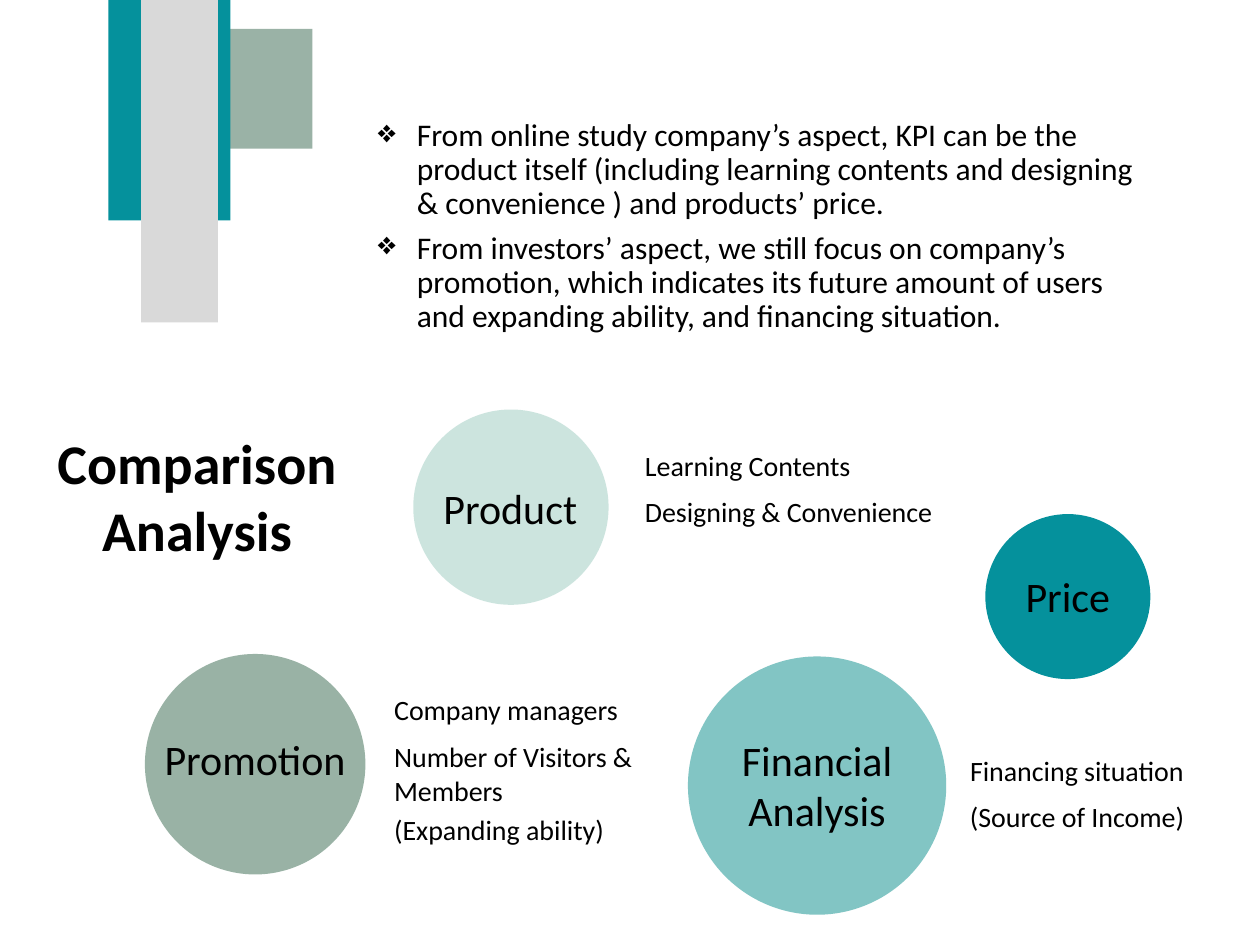
from dataclasses import dataclass

from lxml.etree import SubElement
from pptx import Presentation
from pptx.dml.color import RGBColor
from pptx.enum.shapes import MSO_SHAPE
from pptx.enum.text import MSO_ANCHOR, MSO_AUTO_SIZE, PP_ALIGN
from pptx.oxml.ns import qn
from pptx.util import Pt

PX = 9144  # EMU per px, 100 px to the inch


@dataclass(frozen=True)
class Theme:
    font: str = "Calibri"
    ink: str = "000000"
    teal: str = "05919C"
    grey: str = "D9D9D9"
    sage: str = "9AB2A6"
    moss: str = "8FAA9C"
    aqua: str = "75BFBE"
    mint: str = "9BCBBF"
    title: int = 32
    label: int = 24
    body: int = 18
    caption: int = 16


THEME = Theme()


def emu(*lengths):
    return [length * PX for length in lengths]


def add_block(page, kind, box, color, opacity=100):
    shape = page.shapes.add_shape(kind, *emu(*box))
    shape.shadow.inherit = False
    shape.line.fill.background()
    shape.fill.solid()
    shape.fill.fore_color.rgb = RGBColor.from_string(color)
    if opacity < 100:
        fill_color = shape.fill._xPr.find(qn("a:solidFill"))[0]
        SubElement(fill_color, qn("a:alpha"), val=str(opacity * 1000))


def write(para, text, size, align=PP_ALIGN.LEFT, bold=False):
    para.alignment = align
    span = para.add_run()
    span.text = text
    span.font.name = THEME.font
    span.font.size = Pt(size)
    span.font.bold = bold
    span.font.color.rgb = RGBColor.from_string(THEME.ink)


def add_text_frame(page, box):
    frame = page.shapes.add_textbox(*emu(*box)).text_frame
    frame.word_wrap = True
    return frame


def add_bullet(para):
    properties = para._p.get_or_add_pPr()
    properties.set("marL", str(31 * PX))
    properties.set("indent", str(-31 * PX))
    SubElement(properties, qn("a:buChar"), char="❖")


def add_ornament(page, left, top):
    """Overlapping bars that hang from the top edge."""
    bars = [
        (8, 23, 154, 95, THEME.sage),
        (0, 0, 97, 175, THEME.teal),
        (26, 0, 61, 256, THEME.grey),
    ]
    for x, y, width, height, color in bars:
        add_block(page, MSO_SHAPE.RECTANGLE,
                  (left + x, top + y, width, height), color)


def set_title(page, box, text):
    title = page.shapes.title
    title.left, title.top, title.width, title.height = emu(*box)
    frame = title.text_frame
    frame.word_wrap = True
    frame.auto_size = MSO_AUTO_SIZE.NONE
    frame.vertical_anchor = MSO_ANCHOR.TOP
    write(frame.paragraphs[0], text, THEME.title, PP_ALIGN.CENTER, bold=True)


def add_summary(page, box, points):
    frame = add_text_frame(page, box)
    for index, point in enumerate(points):
        para = frame.add_paragraph() if index else frame.paragraphs[0]
        add_bullet(para)
        para.line_spacing = 0.9
        para.space_after = Pt(6)
        write(para, point, THEME.body)


def add_topic(page, left, top, size, color, opacity, label, label_box, captions=()):
    """A circle with its label and captions, placed relative to the circle."""
    add_block(page, MSO_SHAPE.OVAL, (left, top, size, size), color, opacity)
    x, y, width, height = label_box
    frame = add_text_frame(page, (left + x, top + y, width, height))
    write(frame.paragraphs[0], label, THEME.label, PP_ALIGN.CENTER)
    for text, x, y, width, height in captions:
        frame = add_text_frame(page, (left + x, top + y, width, height))
        write(frame.paragraphs[0], text, THEME.caption)


def main():
    deck = Presentation()
    deck.slide_width, deck.slide_height = emu(1000, 750)
    page = deck.slides.add_slide(deck.slide_layouts[5])

    add_ornament(page, 86, 0)
    set_title(page, (27, 335, 259, 118), "Comparison Analysis")
    add_summary(page, (290, 90, 625, 186), [
        "From online study company’s aspect, KPI can be the product itself "
        "(including learning contents and designing & convenience ) "
        "and products’ price.",
        "From investors’ aspect, we still focus on company’s promotion, "
        "which indicates its future amount of users and expanding ability, "
        "and financing situation.",
    ])
    add_topic(page, 328, 325, 155, THEME.mint, 50, "Product", (13, 53, 128, 50), [
        ("Learning Contents", 174, 26, 201, 37),
        ("Designing & Convenience", 174, 63, 290, 37),
    ])
    add_topic(page, 782, 408, 131, THEME.teal, 100, "Price", (-12, 40, 155, 50))
    add_topic(page, 115, 519, 175, THEME.moss, 90, "Promotion", (-9, 58, 193, 50), [
        ("Company managers", 188, 26, 201, 37),
        ("Number of Visitors & Members", 188, 63, 237, 64),
        ("(Expanding ability)", 188, 121, 236, 37),
    ])
    add_topic(page, 546, 521, 205, THEME.aqua, 90, "Financial Analysis",
              (25, 57, 155, 91), [
                  ("Financing situation", 214, 72, 201, 37),
                  ("(Source of Income)", 214, 109, 220, 37),
              ])
    deck.save("out.pptx")


if __name__ == "__main__":
    main()
